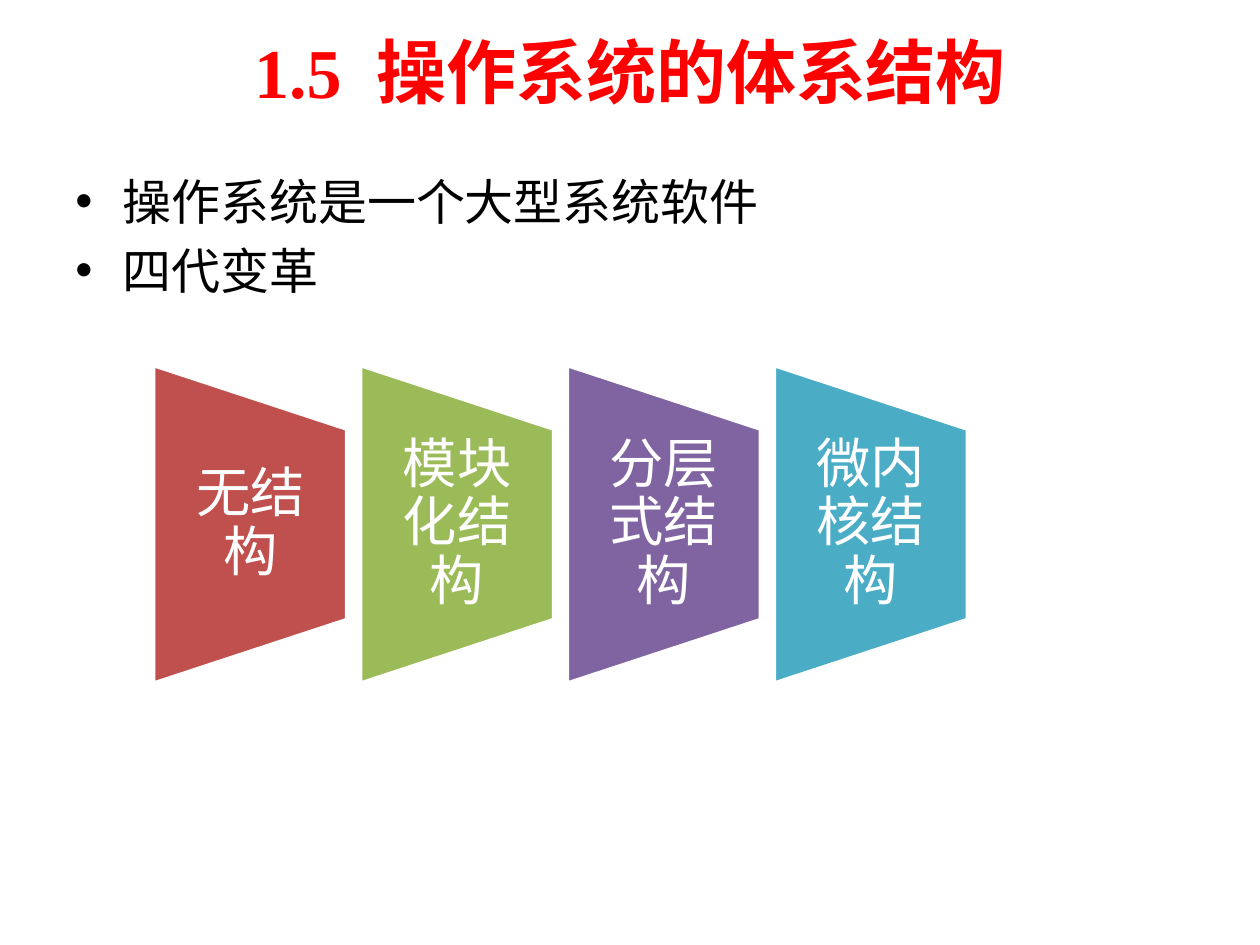
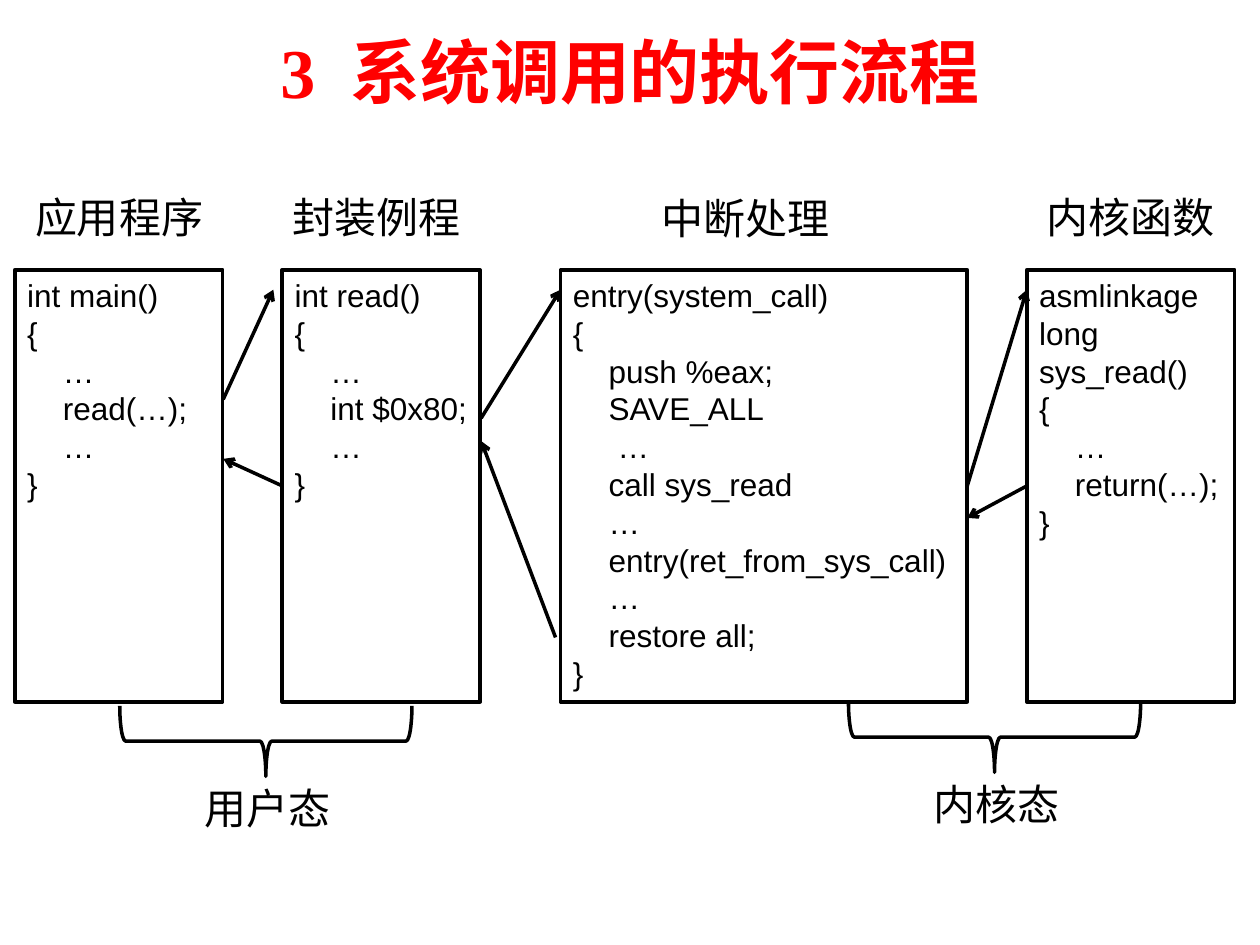
from pptx import Presentation
from pptx import util as u
from pptx.dml import color
from pptx.enum import shapes, text
from pptx.oxml import ns
from lxml import etree

Cm, Pt = u.Cm, u.Pt
SHAPE = shapes.MSO_SHAPE
CENTER, LEFT = text.PP_ALIGN.CENTER, text.PP_ALIGN.LEFT
MIDDLE = text.MSO_ANCHOR.MIDDLE

BLACK, WHITE, RED = "000000", "FFFFFF", "FF0000"
TITLE = dict(name="Times New Roman", size=Pt(40), bold=True, color=RED)
BODY = dict(name="Times New Roman", size=Pt(28), color=BLACK)
STEP = dict(name="Calibri", size=Pt(31), color=WHITE)
LABEL = dict(name="Arial", size=Pt(24), color=BLACK)
CODE = dict(name="Arial", size=Pt(18), color=BLACK)
SPACE_WIDTH = 0.18  # indent of code, in cm per leading space

GENERATIONS = [("无结构", "C0504D"), ("模块化结构", "9BBB59"),
               ("分层式结构", "8064A2"), ("微内核结构", "4BACC6")]

APP = """int main()
{
    …
    read(…);
    …
}"""
WRAPPER = """int read()
{
    …
    int $0x80;
    …
}"""
INTERRUPT = """entry(system_call)
{
    push %eax;
    SAVE_ALL
     …
    call sys_read
    …
    entry(ret_from_sys_call)
    …
    restore all;
}"""
KERNEL = """asmlinkage long sys_read()
{
    …
    return(…);
}"""


def rgb(value):
    return color.RGBColor.from_string(value)


def add_run(p, content, fmt):
    r = p.add_run()
    r.text = content
    for key, value in fmt.items():
        if key == "color":
            r.font.color.rgb = rgb(value)
        else:
            setattr(r.font, key, value)
    return r


def add_lines(tf, lines, fmt, **para):
    """Fill a frame with one paragraph a line and return the paragraphs."""
    tf.word_wrap = True
    paragraphs = []
    for i, line in enumerate(lines):
        p = tf.add_paragraph() if i else tf.paragraphs[0]
        for key, value in para.items():
            setattr(p, key, value)
        if line:
            add_run(p, line, fmt)
        paragraphs.append(p)
    return paragraphs


def add_box(s, x, y, w, h):
    return s.shapes.add_textbox(Cm(x), Cm(y), Cm(w), Cm(h))


def add_outline(s, kind, x, y, w, h, fill=None, line=BLACK):
    sp = s.shapes.add_shape(kind, Cm(x), Cm(y), Cm(w), Cm(h))
    sp.shadow.inherit = False
    if fill:
        sp.fill.solid()
        sp.fill.fore_color.rgb = rgb(fill)
    else:
        sp.fill.background()
    sp.line.color.rgb = rgb(line)
    sp.line.width = Pt(2)
    return sp


def add_title(s, number, name):
    tf = add_box(s, 1.27, 0.13, 22.86, 2.59).text_frame
    tf.vertical_anchor = MIDDLE
    p, = add_lines(tf, [number], TITLE, alignment=CENTER)
    # Widen the gap after the section number
    add_run(p, " ", TITLE).font._element.set("spc", "1000")
    add_run(p, name, TITLE)


def add_bullets(s, x, y, w, h, lines):
    tf = add_box(s, x, y, w, h).text_frame
    for p in add_lines(tf, lines, BODY, space_before=Pt(5.6)):
        pPr = p._p.get_or_add_pPr()
        pPr.set("marL", str(Cm(0.95)))
        pPr.set("indent", str(-Cm(0.95)))
        etree.SubElement(pPr, ns.qn("a:buFont")).set("typeface", "Arial")
        etree.SubElement(pPr, ns.qn("a:buChar")).set("char", "•")


def add_generations(s, x, y, pitch=4.17, w=3.89, h=6.4):
    """Row of trapezoids, each turned to narrow towards the right."""
    for i, (name, fill) in enumerate(GENERATIONS):
        left = x + i * pitch
        sp = add_outline(s, SHAPE.FLOWCHART_MANUAL_OPERATION,
                         left + (w - h) / 2, y + (h - w) / 2, h, w, fill, WHITE)
        sp.rotation = 270
        tf = add_box(s, left, y + h * 0.2, w, h * 0.6).text_frame
        tf.vertical_anchor = MIDDLE
        tf.margin_left = tf.margin_right = Cm(0.56)
        tf.margin_top = tf.margin_bottom = 0
        add_lines(tf, [name], STEP, alignment=CENTER, line_spacing=0.9)


def add_label(s, cx, y, content, w=4.19):
    tf = add_box(s, cx - w / 2, y, w, 1.27).text_frame
    add_lines(tf, [content], LABEL, alignment=CENTER)


def add_code(s, x, w, code, y=5.44, h=8.71):
    sp = add_outline(s, SHAPE.RECTANGLE, x, y, w, h)
    tf = sp.text_frame
    tf.vertical_anchor = text.MSO_ANCHOR.TOP
    lines = code.splitlines()
    stripped = [line.lstrip() for line in lines]
    for p, line, bare in zip(add_lines(tf, stripped, CODE, alignment=LEFT),
                             lines, stripped):
        indent = Cm(SPACE_WIDTH * (len(line) - len(bare)))
        p._p.get_or_add_pPr().set("marL", str(indent))
    return sp


def add_arrow(s, start, end, source=None, side=None):
    c = s.shapes.add_connector(shapes.MSO_CONNECTOR.STRAIGHT,
                               *map(Cm, start + end))
    if source is not None:
        c.begin_connect(source, side)
    c.line.color.rgb = rgb(BLACK)
    c.line.width = Pt(2)
    etree.SubElement(c.line._get_or_add_ln(), ns.qn("a:tailEnd")).set("type", "arrow")
    etree.SubElement(c._element.spPr, ns.qn("a:effectLst"))


def add_mode(s, cx, cy, name, depth=1.42, span=5.89):
    """Brace opening upwards, with the name of the mode below its tip."""
    sp = add_outline(s, SHAPE.LEFT_BRACE, cx - depth / 2, cy - span / 2, depth, span)
    sp.rotation = 270
    add_label(s, cx + 0.04, cy + depth / 2, name)


def structure_slide(prs):
    s = prs.slides.add_slide(prs.slide_layouts[6])
    add_title(s, "1.5", "操作系统的体系结构")
    add_bullets(s, 1.27, 3.33, 21.64, 13.41,
                ["操作系统是一个大型系统软件", "四代变革"])
    add_generations(s, 3.1, 7.37)


def system_call_slide(prs):
    s = prs.slides.add_slide(prs.slide_layouts[6])
    add_title(s, "3", "系统调用的执行流程")

    # Code of each stage
    add_code(s, 0.3, 4.19, APP)
    wrapper = add_code(s, 5.69, 3.99, WRAPPER)
    interrupt = add_code(s, 11.3, 8.2, INTERRUPT)
    kernel = add_code(s, 20.7, 4.19, KERNEL)

    # Calls
    add_arrow(s, (4.5, 8.05), (5.51, 5.84))
    add_arrow(s, (9.7, 8.43), (11.3, 5.84))
    add_arrow(s, (19.5, 9.8), (20.7, 5.84), interrupt, 3)
    # Returns
    add_arrow(s, (20.7, 9.8), (19.5, 10.44), kernel, 1)
    add_arrow(s, (11.2, 12.85), (9.7, 8.89))
    add_arrow(s, (5.69, 9.8), (4.5, 9.25), wrapper, 1)

    # Processor modes
    add_mode(s, 5.36, 14.94, "用户态")
    add_mode(s, 20.05, 14.86, "内核态")

    # Stage names
    for cx, y, name in [(2.4, 3.73, "应用程序"), (7.6, 3.73, "封装例程"),
                        (15.03, 3.76, "中断处理"), (22.8, 3.73, "内核函数")]:
        add_label(s, cx, y, name)


def main():
    prs = Presentation()
    prs.slide_width, prs.slide_height = Cm(25.4), Cm(19.05)
    structure_slide(prs)
    system_call_slide(prs)
    prs.save("out.pptx")


if __name__ == "__main__":
    main()
